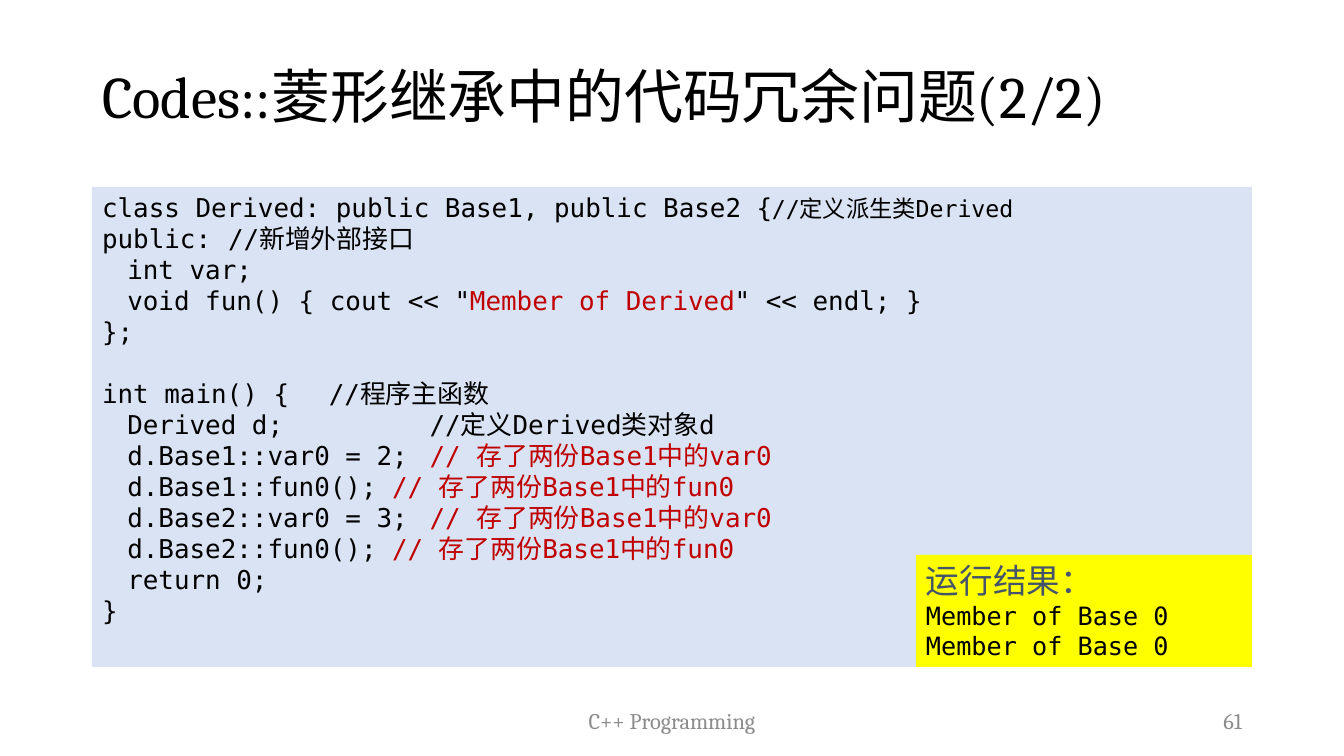
from lxml import etree
from pptx import Presentation
from pptx import util as u
from pptx.dml.color import RGBColor
from pptx.enum import shapes, text
from pptx.oxml.ns import qn

SCALE = 914400 / 100.8
HUES = {"ink": "000000", "red": "C00000", "gray": "8C8C8C", "slate": "44546A",
        "pale": "DAE3F3", "yellow": "FFFF00"}
MONO, SERIF = "DejaVu Sans Mono", "Cambria"
PITCH = u.Pt(22.14)
STEP, HANG = 914400, 228600
LEFT = text.PP_ALIGN.LEFT

# Each code line: plain text, or a list of (text, format) runs
RED = {"hue": "red"}
CODE = [
    ["class Derived: public Base1, public Base2 {",
     ("//定义派生类Derived", {"size": 16.6})],
    ["public:\t//新增外部接口"],
    ["\tint var;"],
    ['\tvoid fun() { cout << "', ("Member of Derived", RED), '" << endl; }'],
    ["};"],
    ["int main() {\t//程序主函数"],
    ["\tDerived d;\t\t\t//定义Derived类对象d"],
]
for base, val in (("Base1", 2), ("Base2", 3)):
    CODE += [
        [f"\td.{base}::var0 = {val};\t", ("// 存了两份Base1中的var0", RED)],
        [f"\td.{base}::fun0();", (" // 存了两份Base1中的fun0", RED)],
    ]
CODE += [["\treturn 0;"], ["}"]]


def px(num):
    return u.Emu(round(num * SCALE))


def color(name):
    return RGBColor.from_string(HUES[name])


def place(shape, box):
    for key, num in zip(("left", "top", "width", "height"), box):
        setattr(shape, key, px(num))


def paint(shape, hue):
    shape.fill.solid()
    shape.fill.fore_color.rgb = color(hue)
    shape.line.fill.background()


def setup(frame, anchor):
    form = {"word_wrap": True, "auto_size": text.MSO_AUTO_SIZE.NONE,
            "vertical_anchor": anchor}
    for key, val in form.items():
        setattr(frame, key, val)


def add_run(para, words, size, font=SERIF, hue="ink"):
    run = para.add_run()
    run.text = words
    for key, val in {"size": u.Pt(size), "name": font}.items():
        setattr(run.font, key, val)
    run.font.color.rgb = color(hue)


def next_para(frame, first, **form):
    para = frame.paragraphs[0] if first else frame.add_paragraph()
    for key, val in form.items():
        setattr(para, key, val)
    return para


def indent(para):
    """Hanging indent without a bullet, with tab stops one inch apart."""
    props = para._p.get_or_add_pPr()
    props.set("marL", str(HANG))
    props.set("indent", str(-HANG))
    etree.SubElement(props, qn("a:buNone"))
    tabs = etree.SubElement(props, qn("a:tabLst"))
    for num in range(1, 5):
        etree.SubElement(tabs, qn("a:tab"), pos=str(HANG + num * STEP), algn="l")


def add_title(slide, words, box):
    title = slide.shapes.title
    place(title, box)
    setup(title.text_frame, text.MSO_ANCHOR.MIDDLE)
    para = next_para(title.text_frame, True, alignment=LEFT, line_spacing=0.9)
    add_run(para, words, 42)


def add_code(slide, lines, box):
    body = slide.placeholders[1]
    place(body, box)
    paint(body, "pale")
    setup(body.text_frame, text.MSO_ANCHOR.TOP)
    for row, line in enumerate(lines):
        gap = PITCH if line[0].startswith("int main") else u.Pt(0)
        para = next_para(body.text_frame, row == 0, alignment=LEFT,
                         line_spacing=PITCH, space_before=gap)
        indent(para)
        for part in line:
            words, form = (part, {}) if isinstance(part, str) else part
            add_run(para, words, **{"size": 18.5, "font": MONO, **form})


def add_result(slide, head, lines, box):
    rect = slide.shapes.add_shape(shapes.MSO_SHAPE.RECTANGLE, *map(px, box))
    rect.shadow.inherit = False
    paint(rect, "yellow")
    setup(rect.text_frame, text.MSO_ANCHOR.TOP)
    para = next_para(rect.text_frame, True, alignment=LEFT)
    add_run(para, head, 24, "Times New Roman", "slate")
    for line in lines:
        para = next_para(rect.text_frame, False, alignment=LEFT)
        add_run(para, line, 18, MONO)


def add_foot(slide, words, box, align):
    frame = slide.shapes.add_textbox(*map(px, box)).text_frame
    setup(frame, text.MSO_ANCHOR.MIDDLE)
    add_run(next_para(frame, True, alignment=align), words, 16, hue="gray")


def main():
    deck = Presentation()
    deck.slide_width, deck.slide_height = px(1344), px(756)
    slide = deck.slides.add_slide(deck.slide_layouts[1])

    # Title and code
    add_title(slide, "Codes::菱形继承中的代码冗余问题(2/2)", (92, 26, 1160, 146))
    add_code(slide, CODE, (92, 187, 1160, 480))

    # Program output
    add_result(slide, "运行结果：", ["Member of Base 0"] * 2, (916, 555, 336, 112))

    # Footer
    add_foot(slide, "C++ Programming", (445, 701, 454, 40), text.PP_ALIGN.CENTER)
    add_foot(slide, "61", (950, 701, 302, 40), text.PP_ALIGN.RIGHT)

    deck.save("out.pptx")


if __name__ == "__main__":
    main()
